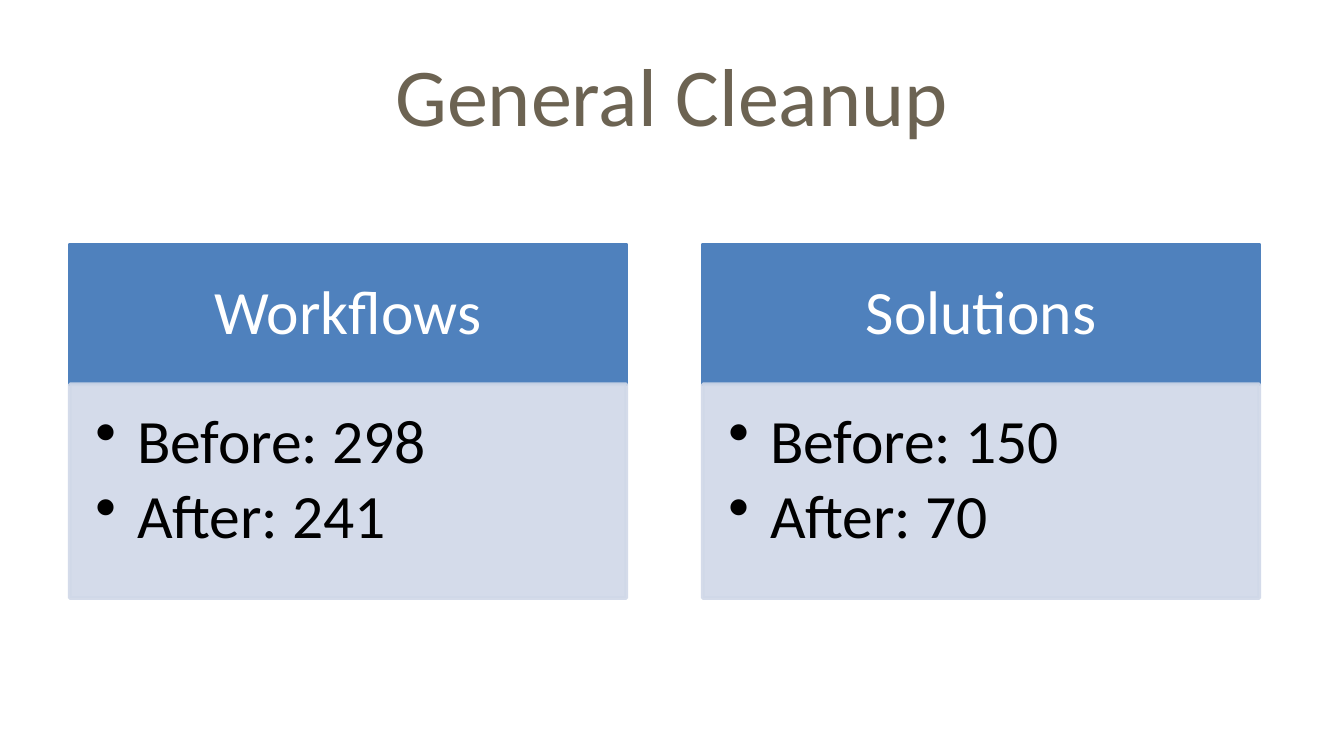
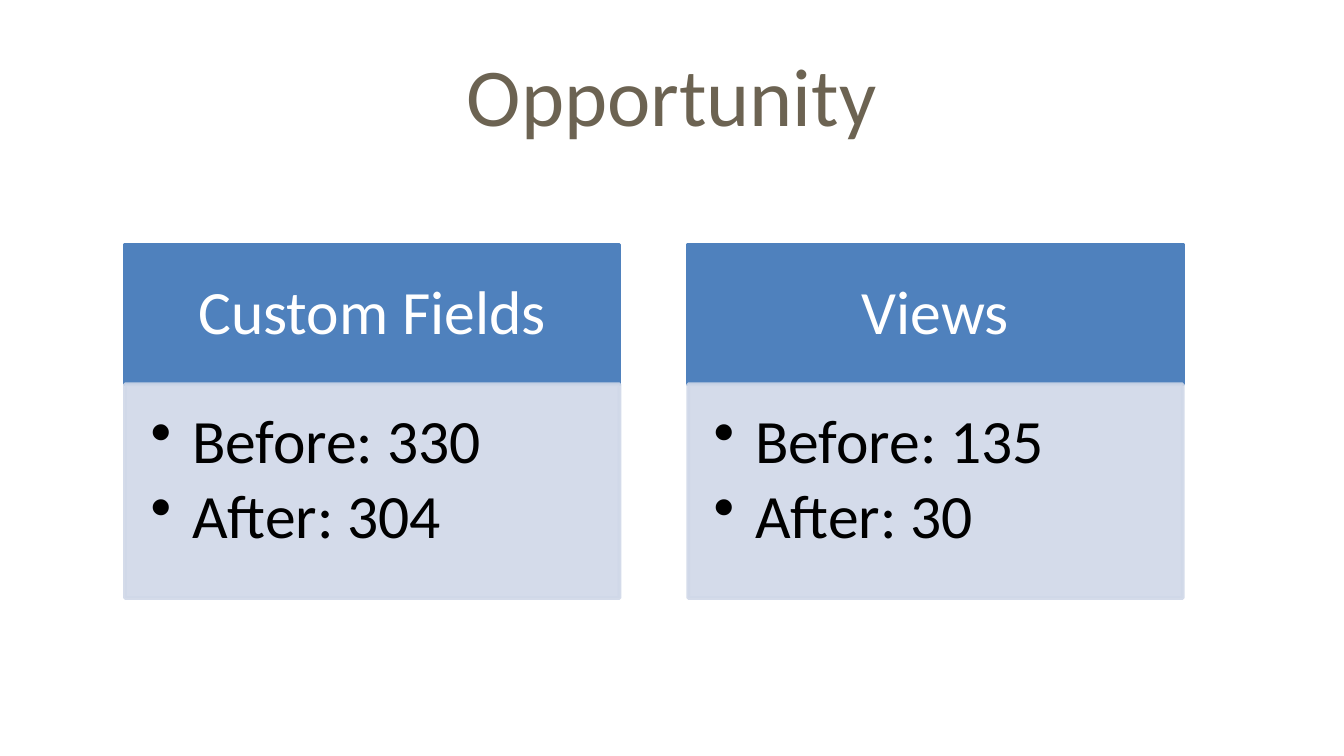
from pptx import Presentation
from pptx.dml.color import RGBColor
from pptx.enum.shapes import MSO_SHAPE
from pptx.enum.text import MSO_ANCHOR, PP_ALIGN
from pptx.oxml.ns import qn
from pptx.util import Inches, Pt
from lxml.etree import SubElement

SLIDES = [
    {"title": "General Cleanup", "left": 0.52, "width": 4.14, "gap": 0.57,
     "cards": [("Workflows", ["Before: 298", "After: 241"]),
               ("Solutions", ["Before: 150", "After: 70"])]},
    {"title": "Opportunity", "left": 0.93, "width": 3.68, "gap": 0.51,
     "cards": [("Custom Fields", ["Before: 330", "After: 304"]),
               ("Views", ["Before: 135", "After: 30"])]},
]

FONT = "Calibri"
TITLE_COLOR = "6C6352"
HEADER_COLOR = "4F81BD"
BODY_COLOR = "D0D8E8"
BODY_OPACITY = 90
CARD_TOP, HEADER_HEIGHT, BODY_HEIGHT = 1.82, 1.04, 1.59
BULLET_INDENT = 0.31

TITLE_STYLE = {"name": FONT, "size": Pt(44)}
CARD_STYLE = {"name": FONT, "size": Pt(33)}
CENTERED = {"alignment": PP_ALIGN.CENTER}
HEADER_PARAGRAPH = {"alignment": PP_ALIGN.CENTER, "line_spacing": 0.9}
BODY_PARAGRAPH = {"alignment": PP_ALIGN.LEFT, "line_spacing": 0.9,
                  "space_after": Pt(5), "level": 1}


def rgb(color):
    return RGBColor.from_string(color)


def set_values(target, values):
    for name, value in values.items():
        setattr(target, name, value)


def add_bullet(paragraph):
    properties = paragraph._p.get_or_add_pPr()
    properties.set("marL", str(Inches(BULLET_INDENT)))
    properties.set("indent", str(-Inches(BULLET_INDENT)))
    SubElement(properties, qn("a:buChar")).set("char", "•")


def write(shape, lines, color, style, layout, insets, anchor, bullets=False):
    frame = shape.text_frame
    frame.word_wrap = True
    frame.vertical_anchor = anchor
    for side, inset in zip(("left", "top", "right", "bottom"), insets):
        setattr(frame, f"margin_{side}", Inches(inset))
    for index, line in enumerate(lines):
        paragraph = frame.add_paragraph() if index else frame.paragraphs[0]
        if bullets:
            add_bullet(paragraph)
        set_values(paragraph, layout)
        run = paragraph.add_run()
        run.text = line
        set_values(run.font, style)
        run.font.color.rgb = rgb(color)


def add_panel(slide, left, top, width, height, color, opacity=100):
    shape = slide.shapes.add_shape(
        MSO_SHAPE.RECTANGLE, Inches(left), Inches(top), Inches(width), Inches(height))
    shape.shadow.inherit = False
    shape.fill.solid()
    shape.fill.fore_color.rgb = rgb(color)
    shape.line.color.rgb = rgb(color)
    shape.line.width = Pt(2)
    if opacity < 100:
        for tint in shape._element.spPr.iter(qn("a:srgbClr")):
            SubElement(tint, qn("a:alpha")).set("val", str(opacity * 1000))
    return shape


def add_title(slide, title):
    box = slide.shapes.add_textbox(Inches(0.5), Inches(0.23), Inches(9), Inches(0.94))
    write(box, [title], TITLE_COLOR, TITLE_STYLE, CENTERED,
          (0.1, 0.05, 0.1, 0.05), MSO_ANCHOR.MIDDLE)


def add_card(slide, left, width, heading, lines):
    header = add_panel(slide, left, CARD_TOP, width, HEADER_HEIGHT, HEADER_COLOR)
    write(header, [heading], "FFFFFF", CARD_STYLE, HEADER_PARAGRAPH,
          (0.26, 0.15, 0.26, 0.15), MSO_ANCHOR.MIDDLE)
    body = add_panel(slide, left, CARD_TOP + HEADER_HEIGHT, width, BODY_HEIGHT,
                     BODY_COLOR, BODY_OPACITY)
    write(body, lines, "000000", CARD_STYLE, BODY_PARAGRAPH,
          (0.19, 0.19, 0.26, 0.29), MSO_ANCHOR.TOP, bullets=True)


def main():
    presentation = Presentation()
    presentation.slide_width = Inches(10)
    presentation.slide_height = Inches(10) * 9 // 16
    for content in SLIDES:
        slide = presentation.slides.add_slide(presentation.slide_layouts[6])
        add_title(slide, content["title"])
        for index, (heading, lines) in enumerate(content["cards"]):
            left = content["left"] + index * (content["width"] + content["gap"])
            add_card(slide, left, content["width"], heading, lines)
    presentation.save("out.pptx")


if __name__ == "__main__":
    main()
